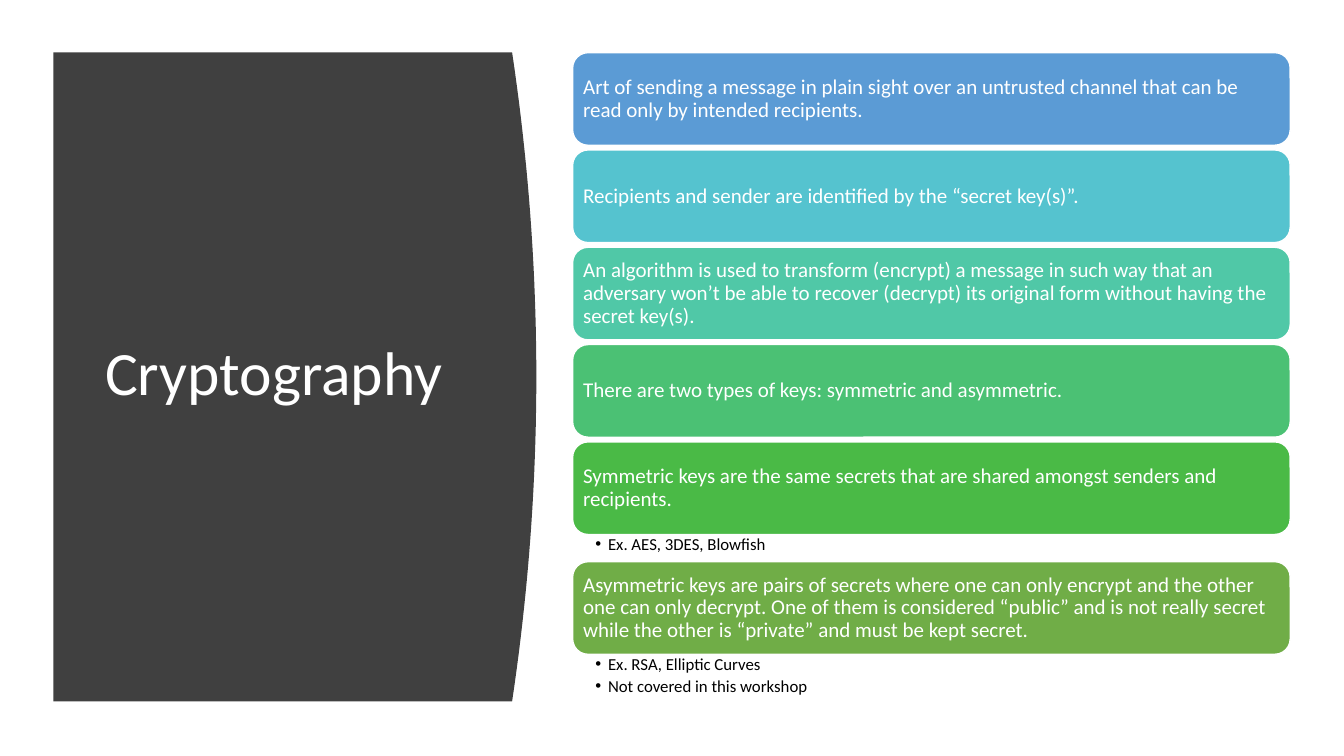
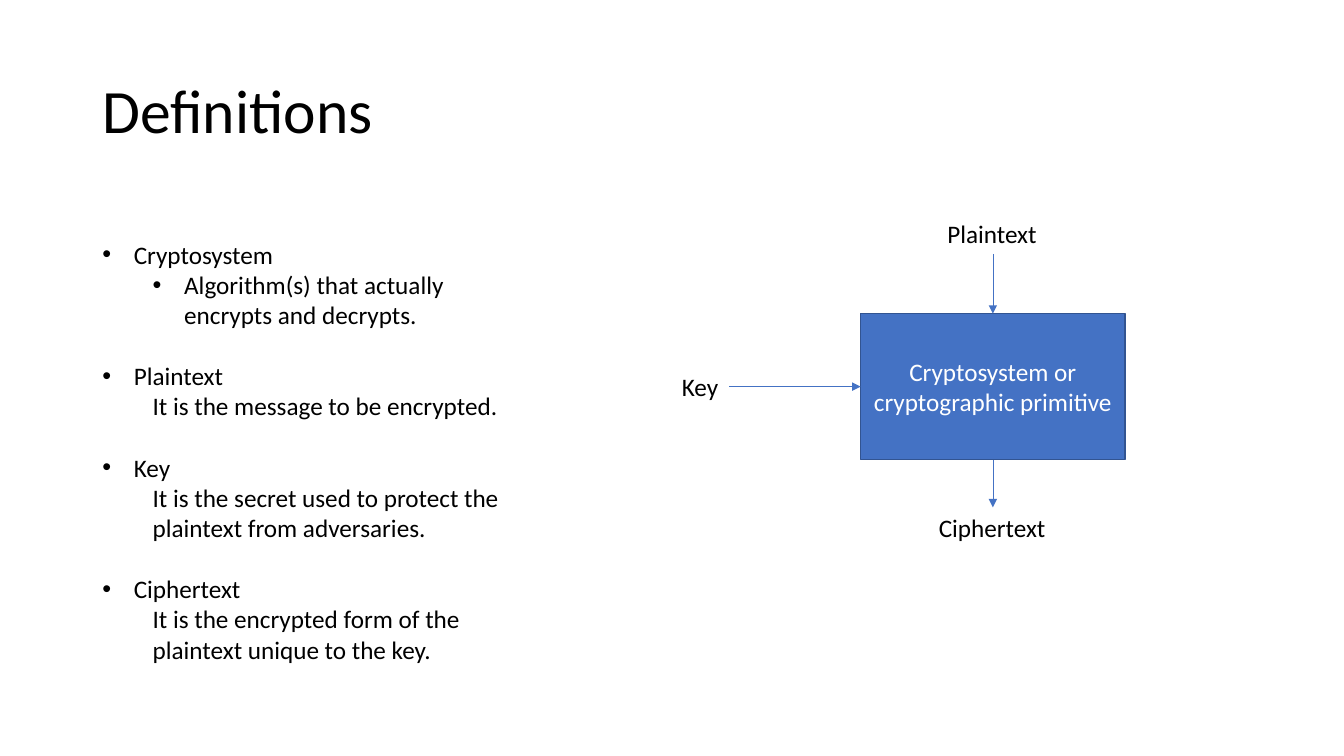
from lxml import etree
from pptx import Presentation
from pptx.dml.color import RGBColor
from pptx.enum import shapes, text
from pptx.oxml import ns
from pptx.util import Pt

FONT = "Calibri"
WHITE = RGBColor(0xFF, 0xFF, 0xFF)
BLACK = RGBColor(0x00, 0x00, 0x00)
CHARCOAL = RGBColor(0x40, 0x40, 0x40)
BLUE = RGBColor(0x44, 0x72, 0xC4)
DARK_BLUE = RGBColor(0x32, 0x54, 0x91)
CARD_BLUE = RGBColor(0x5B, 0x9B, 0xD5)
CARD_CYAN = RGBColor(0x55, 0xC3, 0xCF)
CARD_TEAL = RGBColor(0x50, 0xC8, 0xA7)
CARD_MINT = RGBColor(0x4B, 0xC1, 0x74)
CARD_GREEN = RGBColor(0x4A, 0xBA, 0x46)
CARD_OLIVE = RGBColor(0x70, 0xAD, 0x47)


def write(paragraph, words, size, color, align=text.PP_ALIGN.LEFT, spacing=None):
    paragraph.text = words
    paragraph.alignment = align
    paragraph.line_spacing = spacing
    font = paragraph.runs[0].font
    font.name, font.size, font.color.rgb = FONT, Pt(size), color


def indent(paragraph, left, hanging):
    """Indent a paragraph; a hanging indent carries a bullet."""
    props = paragraph._p.get_or_add_pPr()
    props.set("marL", str(Pt(left)))
    props.set("indent", str(-Pt(hanging)))
    if hanging:
        etree.SubElement(props, ns.qn("a:buFont")).set("typeface", "Arial")
        etree.SubElement(props, ns.qn("a:buChar")).set("char", "•")


deck = Presentation()
deck.slide_width, deck.slide_height = Pt(960), Pt(540)
cryptography, definitions = [deck.slides.add_slide(deck.slide_layouts[6]) for _ in range(2)]

# Cryptography: dark panel whose right edge is a shallow parabola
left, top, bottom, corner, bulge, steps = 38.2, 37.4, 501, 365.8, 17.3, 40
edge = []
for step in range(steps + 1):
    offset = 2 * step / steps - 1
    edge.append((Pt(corner + bulge * (1 - offset ** 2)), Pt(top + (bottom - top) * step / steps)))
outline = cryptography.shapes.build_freeform(Pt(left), Pt(top))
outline.add_line_segments(edge + [(Pt(left), Pt(bottom))], close=True)
panel = outline.convert_to_shape()
panel.shadow.inherit = False
panel.fill.solid()
panel.fill.fore_color.rgb = CHARCOAL
panel.line.fill.background()

# Titles of both slides
for slide, words, color, box in [
    (cryptography, "Cryptography", WHITE, (68, 80, 269, 377)),
    (definitions, "Definitions", BLACK, (66, 28.8, 828, 104.4)),
]:
    title = slide.shapes.add_textbox(*map(Pt, box)).text_frame
    title.word_wrap = True
    title.vertical_anchor = text.MSO_ANCHOR.MIDDLE
    write(title.paragraphs[0], words, 44, color, spacing=0.9)

# Cryptography: stacked cards, some followed by examples
CARD_LEFT, CARD_WIDTH, CARD_HEIGHT, CARD_GAP = 409, 512.6, 66.2, 3.3
cards = [
    (CARD_BLUE, "Art of sending a message in plain sight over an untrusted channel that can be "
                "read only by intended recipients.", []),
    (CARD_CYAN, "Recipients and sender are identified by the “secret key(s)”.", []),
    (CARD_TEAL, "An algorithm is used to transform (encrypt) a message in such way that an adversary "
                "won’t be able to recover (decrypt) its original form without having the secret key(s).", []),
    (CARD_MINT, "There are two types of keys: symmetric and asymmetric.", []),
    (CARD_GREEN, "Symmetric keys are the same secrets that are shared amongst senders and recipients.",
     ["Ex. AES, 3DES, Blowfish"]),
    (CARD_OLIVE, "Asymmetric keys are pairs of secrets where one can only encrypt and the other one can "
                 "only decrypt. One of them is considered “public” and is not really secret while the "
                 "other is “private” and must be kept secret.",
     ["Ex. RSA, Elliptic Curves", "Not covered in this workshop"]),
]
y = 37.6
for color, statement, examples in cards:
    card = cryptography.shapes.add_shape(
        shapes.MSO_SHAPE.ROUNDED_RECTANGLE, Pt(CARD_LEFT), Pt(y), Pt(CARD_WIDTH), Pt(CARD_HEIGHT))
    card.shadow.inherit = False
    card.fill.solid()
    card.fill.fore_color.rgb = color
    card.line.color.rgb, card.line.width = WHITE, Pt(1)
    frame = card.text_frame
    frame.word_wrap = True
    frame.vertical_anchor = text.MSO_ANCHOR.MIDDLE
    frame.margin_left = frame.margin_right = frame.margin_top = frame.margin_bottom = Pt(4.3)
    write(frame.paragraphs[0], statement, 15, WHITE, spacing=0.9)
    y += CARD_HEIGHT
    if not examples:
        y += CARD_GAP
        continue
    height = 6.4 + 13 * len(examples)
    notes = cryptography.shapes.add_textbox(Pt(CARD_LEFT), Pt(y), Pt(CARD_WIDTH), Pt(height)).text_frame
    notes.word_wrap = True
    notes.margin_left, notes.margin_right = Pt(16.3), Pt(8.6)
    notes.margin_top = notes.margin_bottom = Pt(1.2)
    for number, example in enumerate(examples):
        line = notes.add_paragraph() if number else notes.paragraphs[0]
        write(line, example, 12, BLACK, spacing=0.9)
        line.level, line.space_after = 1, Pt(2.4)
        indent(line, 9, 9)
    y += height

# Definitions: cryptosystem box
system = definitions.shapes.add_shape(
    shapes.MSO_SHAPE.RECTANGLE, Pt(614.7), Pt(224), Pt(189), Pt(104.4))
system.shadow.inherit = False
system.fill.solid()
system.fill.fore_color.rgb = BLUE
system.line.color.rgb, system.line.width = DARK_BLUE, Pt(1)
system.text_frame.word_wrap = True
system.text_frame.vertical_anchor = text.MSO_ANCHOR.MIDDLE
write(system.text_frame.paragraphs[0], "Cryptosystem or cryptographic primitive", 18, WHITE,
      text.PP_ALIGN.CENTER)

# Definitions: labels and their arrows (label side, box side, whether the arrow enters the box)
for words, x, y, width, label_side, system_side, enters in [
    ("Plaintext", 669.6, 152.6, 79.2, 2, 0, True),
    ("Ciphertext", 663.5, 362.4, 91.4, 0, 2, False),
    ("Key", 480, 261.8, 41, 3, 1, True),
]:
    label = definitions.shapes.add_textbox(Pt(x), Pt(y), Pt(width), Pt(28.8))
    label.text_frame.word_wrap = False
    label.text_frame.auto_size = text.MSO_AUTO_SIZE.SHAPE_TO_FIT_TEXT
    write(label.text_frame.paragraphs[0], words, 18, BLACK)
    ends = [(label, label_side), (system, system_side)]
    if not enters:
        ends.reverse()
    arrow = definitions.shapes.add_connector(shapes.MSO_CONNECTOR.STRAIGHT, 0, 0, 0, 0)
    arrow.begin_connect(*ends[0])
    arrow.end_connect(*ends[1])
    arrow.line.color.rgb, arrow.line.width = BLUE, Pt(0.5)
    etree.SubElement(arrow.line._get_or_add_ln(), ns.qn("a:tailEnd")).set("type", "triangle")
    etree.SubElement(arrow._element.spPr, ns.qn("a:effectLst"))

# Definitions: terms with their meanings
terms = [
    ("Cryptosystem", "Algorithm(s) that actually encrypts and decrypts.", (58.5, 22.5)),
    ("Plaintext", "It is the message to be encrypted.", (36, 0)),
    ("Key", "It is the secret used to protect the plaintext from adversaries.", (36, 0)),
    ("Ciphertext", "It is the encrypted form of the plaintext unique to the key.", (36, 0)),
]
glossary = definitions.shapes.add_textbox(Pt(66), Pt(167.2), Pt(312.5), Pt(356.4)).text_frame
glossary.word_wrap = True
for number, (term, meaning, meaning_indent) in enumerate(terms):
    heading = glossary.add_paragraph() if number else glossary.paragraphs[0]
    write(heading, term, 18, BLACK)
    heading.space_before = Pt(22 if number else 0)
    indent(heading, 22.5, 22.5)
    body = glossary.add_paragraph()
    write(body, meaning, 18, BLACK)
    body.level = 1
    indent(body, *meaning_indent)

deck.save("out.pptx")
